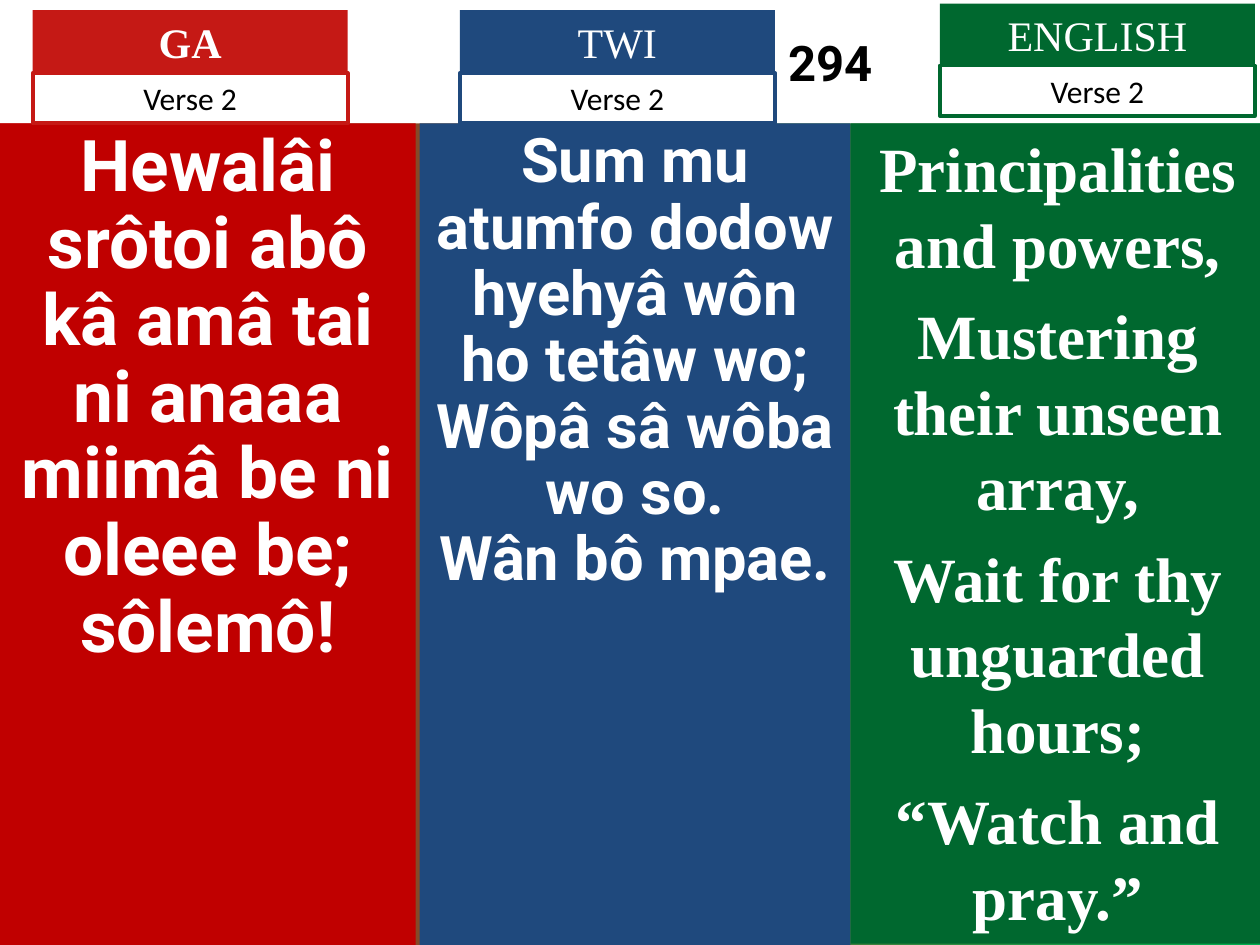
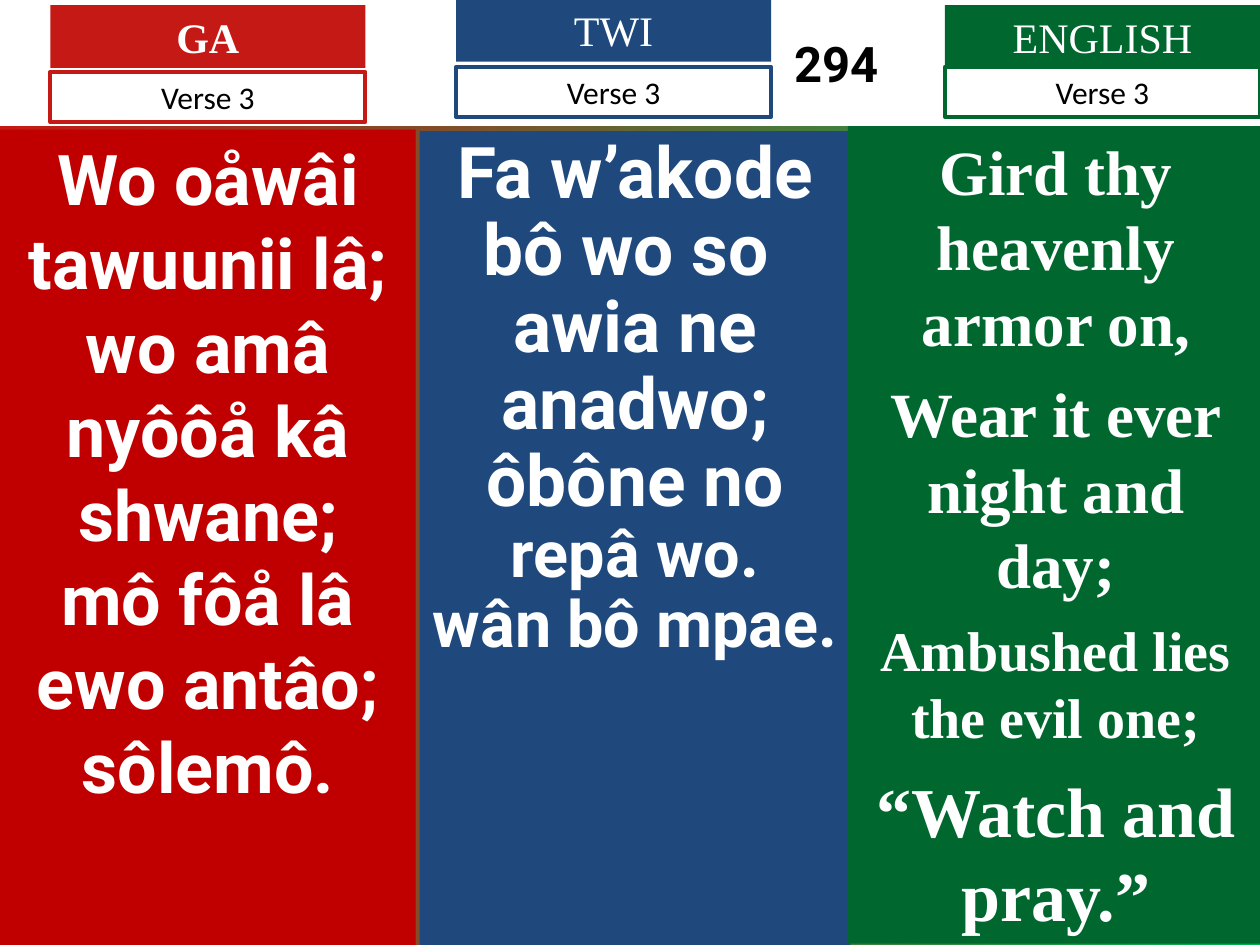
import pptx
import pptx.dml.color
import pptx.enum.shapes
import pptx.enum.text
import pptx.util

Inches, Pt = pptx.util.Inches, pptx.util.Pt
SERIF, ROBOTO, CALIBRI = "Times New Roman", "Roboto", "Calibri"
WHITE, BLACK = "FFFFFF", "000000"
RED, BLUE, GREEN = "C51915", "1F497D", "00682F"
DEEP, LEAF = "C00000", "00B050"
WIDE, TALL, LOW = 2.5, 0.5, 0.4  # tab width, tab height, verse box height


def tint(code):
    return pptx.dml.color.RGBColor.from_string(code)


def block(slide, place, fill, lines, font, color, bold=False, edge=None,
          ratio=None, lead=None, mid=False):
    """Add a box; each line is a list of (text, size) runs."""
    box = slide.shapes.add_shape(pptx.enum.shapes.MSO_SHAPE.RECTANGLE,
                                 *[Inches(n) for n in place])
    box.shadow.inherit = False
    if fill:
        box.fill.solid()
        box.fill.fore_color.rgb = tint(fill)
    else:
        box.fill.background()
    if edge:
        box.line.color.rgb = tint(edge)
        box.line.width = Pt(2.25)
    else:
        box.line.fill.background()
    frame = box.text_frame
    frame.word_wrap = True
    anchor = pptx.enum.text.MSO_ANCHOR
    frame.vertical_anchor = anchor.MIDDLE if mid else anchor.TOP
    for i, runs in enumerate(lines):
        para = frame.add_paragraph() if i else frame.paragraphs[0]
        para.alignment = pptx.enum.text.PP_ALIGN.CENTER
        size = runs[0][1]
        if ratio:
            para.line_spacing = ratio
        if lead:
            para.line_spacing = Pt(lead * size)
            if i:
                para.space_before = Pt(size / 4)
        for text, size in runs:
            run = para.add_run()
            run.text = text
            run.font.name = font
            run.font.size = Pt(size)
            run.font.bold = bold
            run.font.color.rgb = tint(color)
    return box


# Per slide: band height, number shift, tabs (left, top, verse top), panels
verses = [
    dict(
        verse="Verse 2", band=0.98, shift=3.18,
        tabs=[(0.26, 0.08, 0.58), (3.65, 0.08, 0.58), (7.46, 0.03, 0.52)],
        panels=[
            ((0, 0.98, 3.3, 6.52), 0.9, [
                [("Hewalâi srôtoi abô kâ amâ tai ni anaaa", 40.7)],
                [("miimâ be ni oleee be;", 40.7)],
                [("sôlemô!", 40.7)]]),
            ((3.33, 0.98, 3.42, 6.52), 0.9, [
                [("Sum mu atumfo dodow hyehyâ wôn ho tetâw wo;", 35.1)],
                [("Wôpâ sâ wôba wo so.", 35.1)],
                [("Wân bô mpae.", 35.1)]]),
            ((6.75, 0.98, 3.29, 6.51), None, [
                [("Principalities and powers,", 36)],
                [("Mustering their unseen array,", 36)],
                [("Wait for thy unguarded hours;", 36)],
                [("“Watch and pray.”", 36)]]),
        ]),
    dict(
        verse="Verse 3", band=1, shift=3.28,
        tabs=[(0.4, 0.04, 0.57), (3.62, -0.01, 0.53), (7.5, 0.04, 0.53)],
        panels=[
            ((0, 1.03, 3.3, 6.47), None, [
                [("Wo oåwâi tawuunii lâ;", 40)],
                [("wo amâ nyôôå kâ shwane;", 40)],
                [("mô fôå lâ ewo antâo;", 40)],
                [("sôlemô.", 40)]]),
            ((3.33, 1.04, 3.42, 6.46), 0.9, [
                [("Fa w’akode bô wo so ", 40.7)],
                [("awia ne anadwo;", 40.7)],
                [("ôbône no ", 40.7), ("repâ wo.", 37)],
                [("wân bô mpae. ", 37)]]),
            ((6.73, 1, 3.3, 6.49), None, [
                [("Gird thy heavenly armor on,", 36)],
                [("Wear it ever night and day;", 36)],
                [("Ambushed lies the evil one;", 32)],
                [("“Watch and pray.”", 40)]]),
        ]),
]

# Tongue, tab colour, panel colour, panel font, line lead
tongues = [("GA", RED, DEEP, ROBOTO, None),
           ("TWI", BLUE, BLUE, ROBOTO, None),
           ("ENGLISH", GREEN, GREEN, SERIF, 1.2)]

deck = pptx.Presentation()
deck.slide_width, deck.slide_height = Inches(10), Inches(7.5)

for page in verses:
    slide = deck.slides.add_slide(deck.slide_layouts[6])

    # Red to green backdrop
    back = slide.background.fill
    back.gradient()
    back.gradient_angle = 0
    for stop, code in zip(back.gradient_stops, (RED, LEAF)):
        stop.color.rgb = tint(code)

    # White band with the hymn number
    band = block(slide, (0, 0, 10, page["band"]), WHITE, [[("294", 28)]],
                 ROBOTO, BLACK, bold=True, mid=True)
    band.text_frame.margin_left = Inches(page["shift"])
    band.text_frame.margin_right = 0

    # One column per tongue: panel, tab, verse box
    for tongue, tab, panel in zip(tongues, page["tabs"], page["panels"]):
        name, hue, fill, font, lead = tongue
        left, top, low = tab
        place, ratio, lines = panel
        block(slide, place, fill, lines, font, WHITE, bold=True,
              ratio=ratio, lead=lead)
        block(slide, (left, top, WIDE, TALL), hue, [[(name, 24)]],
              SERIF, WHITE, bold=name == "GA")
        block(slide, (left, low, WIDE, LOW), None, [[(page["verse"], 18)]],
              CALIBRI, BLACK, edge=hue)

deck.save("out.pptx")
